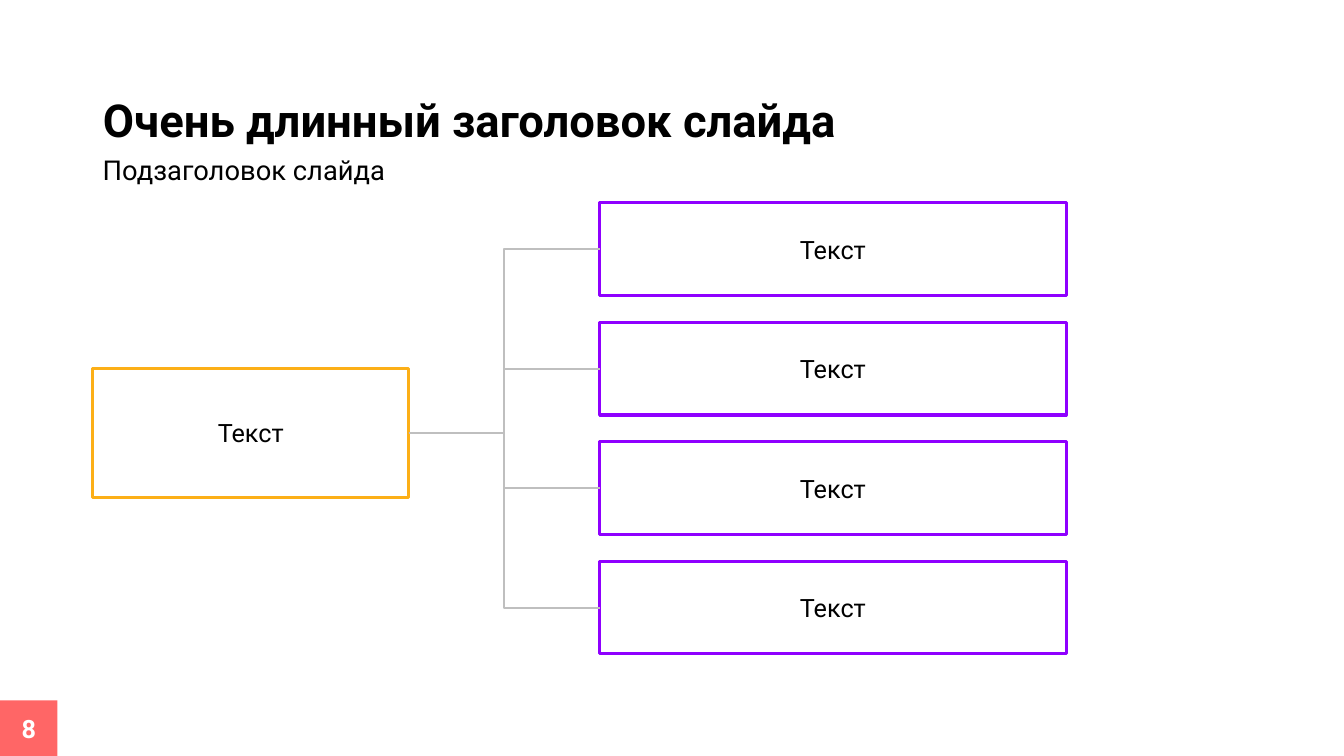
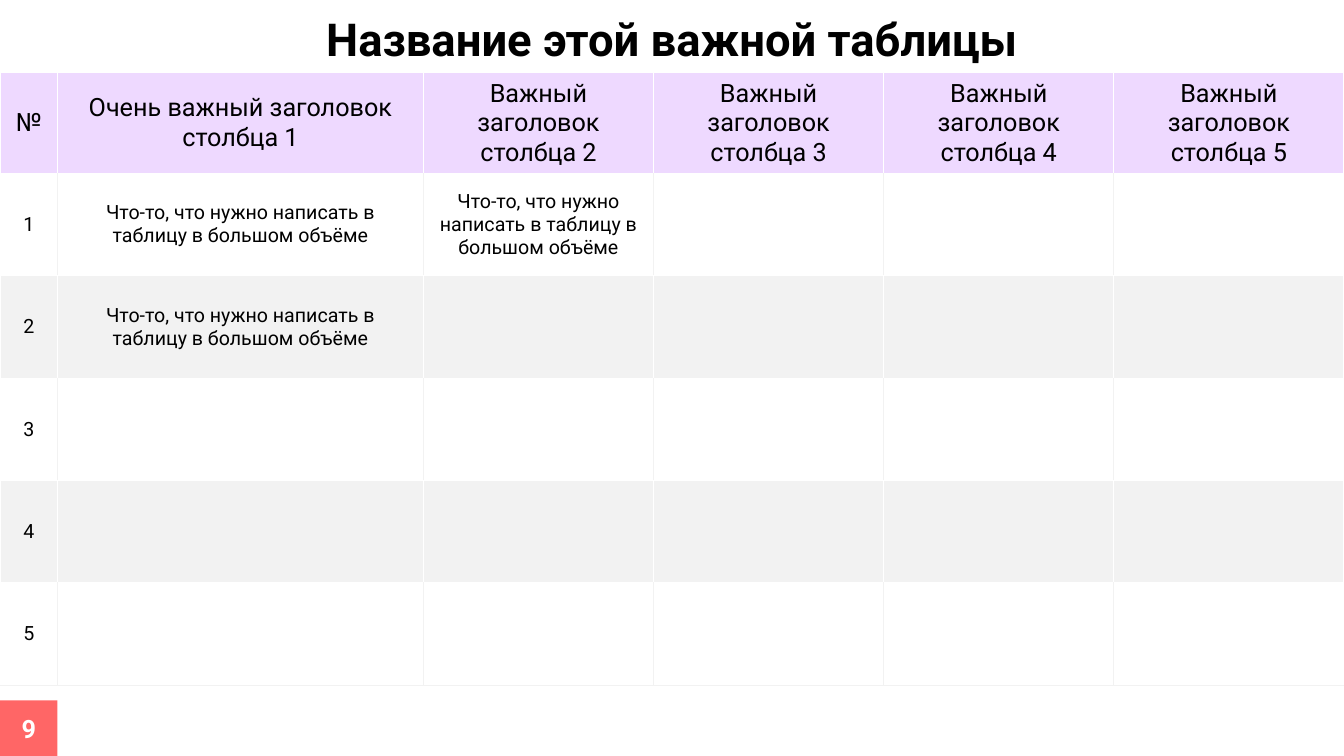
"""Build a tree diagram slide and a table slide in one shared style."""
from lxml import etree
from pptx import Presentation
from pptx.dml.color import RGBColor
from pptx.enum.shapes import MSO_CONNECTOR, MSO_SHAPE
from pptx.enum.text import MSO_ANCHOR, MSO_AUTO_SIZE, PP_ALIGN
from pptx.oxml.ns import qn
from pptx.util import Cm, Pt

RECTANGLE = MSO_SHAPE.RECTANGLE
ELBOW = MSO_CONNECTOR.ELBOW
MIDDLE = MSO_ANCHOR.MIDDLE
NO_AUTOFIT = MSO_AUTO_SIZE.NONE
LEFT, CENTER = PP_ALIGN.LEFT, PP_ALIGN.CENTER
LEFT_SITE, RIGHT_SITE = 1, 3

BLACK = RGBColor(0x00, 0x00, 0x00)
WHITE = RGBColor(0xFF, 0xFF, 0xFF)
RED = RGBColor(0xFF, 0x00, 0x00)
ORANGE = RGBColor(0xFC, 0xAF, 0x17)
PURPLE = RGBColor(0x8F, 0x00, 0xFF)
GRAY = RGBColor(0xBF, 0xBF, 0xBF)
LIGHT_GRAY = RGBColor(0xF2, 0xF2, 0xF2)

FONT = "Roboto"
TITLE_SIZE, SUBTITLE_SIZE, BODY_SIZE, CELL_SIZE = 32.4, 19.5, 18, 14
SLIDE_WIDTH, SLIDE_HEIGHT = 33.87, 19.05
TITLE_WIDTH, TITLE_HEIGHT = 22.53, 1.45
MARGIN = 2.34
BADGE_WIDTH, BADGE_HEIGHT = 1.45, 1.4


def set_opacity(properties, percent):
    """Make the solid fill held by the given properties translucent."""
    color = properties.find(qn("a:solidFill"))[0]
    etree.SubElement(color, qn("a:alpha"), val=str(percent * 1000))


class Deck:
    """Holds the presentation style and the current slide."""

    def __init__(self):
        self.presentation = Presentation()
        self.presentation.slide_width = Cm(SLIDE_WIDTH)
        self.presentation.slide_height = Cm(SLIDE_HEIGHT)
        self.slide = None

    def set_text(self, text_frame, text, size, color=BLACK, bold=False,
                 alignment=CENTER, line_spacing=None):
        """Fill a text frame with one styled paragraph."""
        text_frame.text = text
        paragraph = text_frame.paragraphs[0]
        paragraph.alignment = alignment
        paragraph.line_spacing = line_spacing
        for run in paragraph.runs:
            run.font.name = FONT
            run.font.size = Pt(size)
            run.font.bold = bold
            run.font.color.rgb = color

    def add_slide(self, number, title, left, top, alignment, line_spacing):
        """Start a slide with its title and number badge."""
        layout = self.presentation.slide_layouts[5]
        self.slide = self.presentation.slides.add_slide(layout)
        shape = self.slide.shapes.title
        shape.left, shape.top = Cm(left), Cm(top)
        shape.width, shape.height = Cm(TITLE_WIDTH), Cm(TITLE_HEIGHT)
        shape.text_frame.auto_size = NO_AUTOFIT
        shape.text_frame.vertical_anchor = MIDDLE
        self.set_text(shape.text_frame, title, TITLE_SIZE, bold=True,
                      alignment=alignment, line_spacing=line_spacing)
        self.add_badge(number)

    def add_badge(self, number):
        """Add the slide number in the bottom left corner."""
        badge = self.slide.shapes.add_shape(
            RECTANGLE, 0, Cm(SLIDE_HEIGHT - BADGE_HEIGHT),
            Cm(BADGE_WIDTH), Cm(BADGE_HEIGHT))
        badge.shadow.inherit = False
        badge.fill.solid()
        badge.fill.fore_color.rgb = RED
        set_opacity(badge.element.spPr, 60)
        badge.line.fill.background()
        badge.text_frame.vertical_anchor = MIDDLE
        self.set_text(badge.text_frame, str(number), BODY_SIZE, WHITE, bold=True)

    def add_subtitle(self, text, top):
        """Add a line of text below the title."""
        box = self.slide.shapes.add_textbox(
            Cm(MARGIN), Cm(top), Cm(TITLE_WIDTH), Cm(TITLE_HEIGHT))
        box.text_frame.word_wrap = True
        box.text_frame.vertical_anchor = MIDDLE
        self.set_text(box.text_frame, text, SUBTITLE_SIZE,
                      alignment=LEFT, line_spacing=0.9)

    def add_box(self, text, left, top, width, height, color):
        """Add an outlined box with centred text."""
        box = self.slide.shapes.add_shape(
            RECTANGLE, Cm(left), Cm(top), Cm(width), Cm(height))
        box.shadow.inherit = False
        box.fill.background()
        box.line.color.rgb = color
        box.line.width = Pt(2.25)
        box.text_frame.vertical_anchor = MIDDLE
        self.set_text(box.text_frame, text, BODY_SIZE)
        return box

    def connect(self, parent, child):
        """Join the right side of one box to the left side of another."""
        connector = self.slide.shapes.add_connector(ELBOW, 0, 0, 0, 0)
        connector.begin_connect(parent, RIGHT_SITE)
        connector.end_connect(child, LEFT_SITE)
        connector.line.color.rgb = GRAY
        connector.line.width = Pt(1.5)
        etree.SubElement(connector.element.spPr, qn("a:effectLst"))

    def add_border(self, properties, side, color):
        """Add a thin line on one side of a table cell."""
        line = etree.SubElement(properties, qn("a:ln" + side), w=str(Pt(1)))
        fill = etree.SubElement(line, qn("a:solidFill"))
        etree.SubElement(fill, qn("a:srgbClr"), val=str(color))

    def add_table(self, rows, top, widths, heights):
        """Add a full-width table with a tinted header and striped rows."""
        table = self.slide.shapes.add_table(
            len(heights), len(widths), 0, Cm(top),
            Cm(sum(widths)), Cm(sum(heights))).table
        table.first_row = table.horz_banding = False
        for column, width in zip(table.columns, widths):
            column.width = Cm(width)
        for row, height in zip(table.rows, heights):
            row.height = Cm(height)
        for row_index, texts in enumerate(rows):
            for column_index in range(len(widths)):
                cell = table.cell(row_index, column_index)
                self.style_cell(cell, row_index, column_index,
                                len(heights) - 1, len(widths) - 1)
                if column_index < len(texts):
                    self.set_text(cell.text_frame, texts[column_index],
                                  CELL_SIZE if row_index else BODY_SIZE)

    def style_cell(self, cell, row, column, last_row, last_column):
        """Set the borders and fill of a cell by its place in the table."""
        cell.vertical_anchor = MIDDLE
        properties = cell._tc.get_or_add_tcPr()
        striped = row % 2 == 0
        side_color = WHITE if striped else LIGHT_GRAY
        if column > 0:
            self.add_border(properties, "L", side_color)
        if column < last_column:
            self.add_border(properties, "R", side_color)
        if row > 0:
            self.add_border(properties, "T", WHITE)
        self.add_border(properties, "B", LIGHT_GRAY if row == last_row else WHITE)
        if striped:
            cell.fill.solid()
            cell.fill.fore_color.rgb = LIGHT_GRAY if row else PURPLE
        else:
            cell.fill.background()
        if row == 0:
            set_opacity(properties, 15)


def add_tree_slide(deck):
    """Add the slide with one box branching into four."""
    deck.add_slide(8, "Очень длинный заголовок слайда", MARGIN, 2.36, LEFT, 0.9)
    deck.add_subtitle("Подзаголовок слайда", 3.61)
    root = deck.add_box("Текст", MARGIN, 9.28, 7.96, 3.25, ORANGE)
    branches = [deck.add_box("Текст", 15.11, 5.11 + 3.01 * index, 11.76, 2.34, PURPLE)
                for index in range(4)]
    for branch in branches:
        deck.connect(root, branch)


def add_table_slide(deck):
    """Add the slide with the full-width table."""
    deck.add_slide(9, "Название этой важной таблицы",
                   (SLIDE_WIDTH - TITLE_WIDTH) / 2, 0.38, CENTER, 0.8)
    note = "Что-то, что нужно написать в таблицу в большом объёме"
    header = ["№", "Очень важный заголовок столбца 1"]
    header += [f"Важный заголовок столбца {number}" for number in range(2, 6)]
    rows = [header, ["1", note, note], ["2", note], ["3"], ["4"], ["5"]]
    deck.add_table(rows, 1.83, [BADGE_WIDTH, 9.22] + [5.8] * 4, [2.54] + [2.58] * 5)


def main():
    """Build and save the presentation."""
    deck = Deck()
    add_tree_slide(deck)
    add_table_slide(deck)
    deck.presentation.save("out.pptx")


if __name__ == "__main__":
    main()
